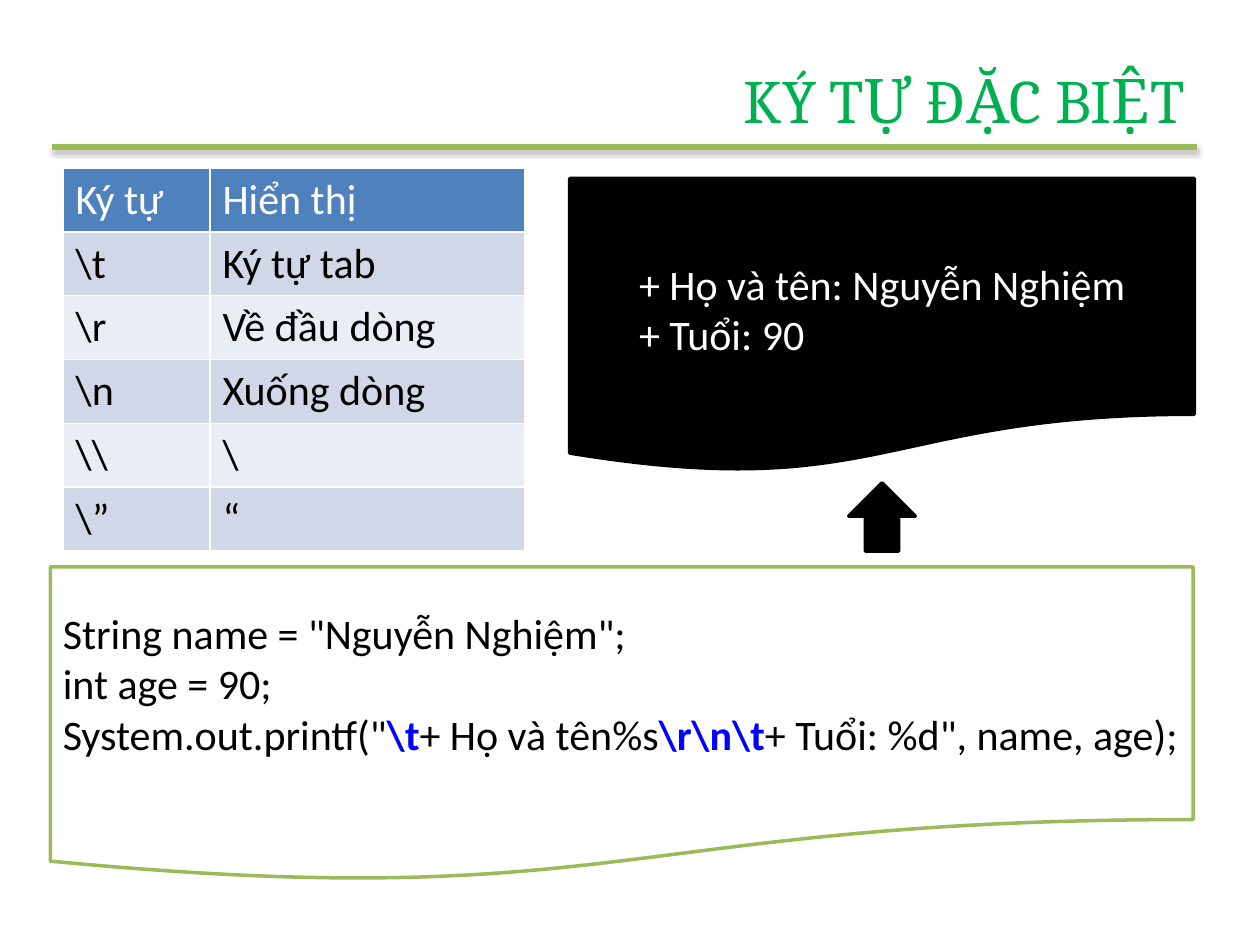
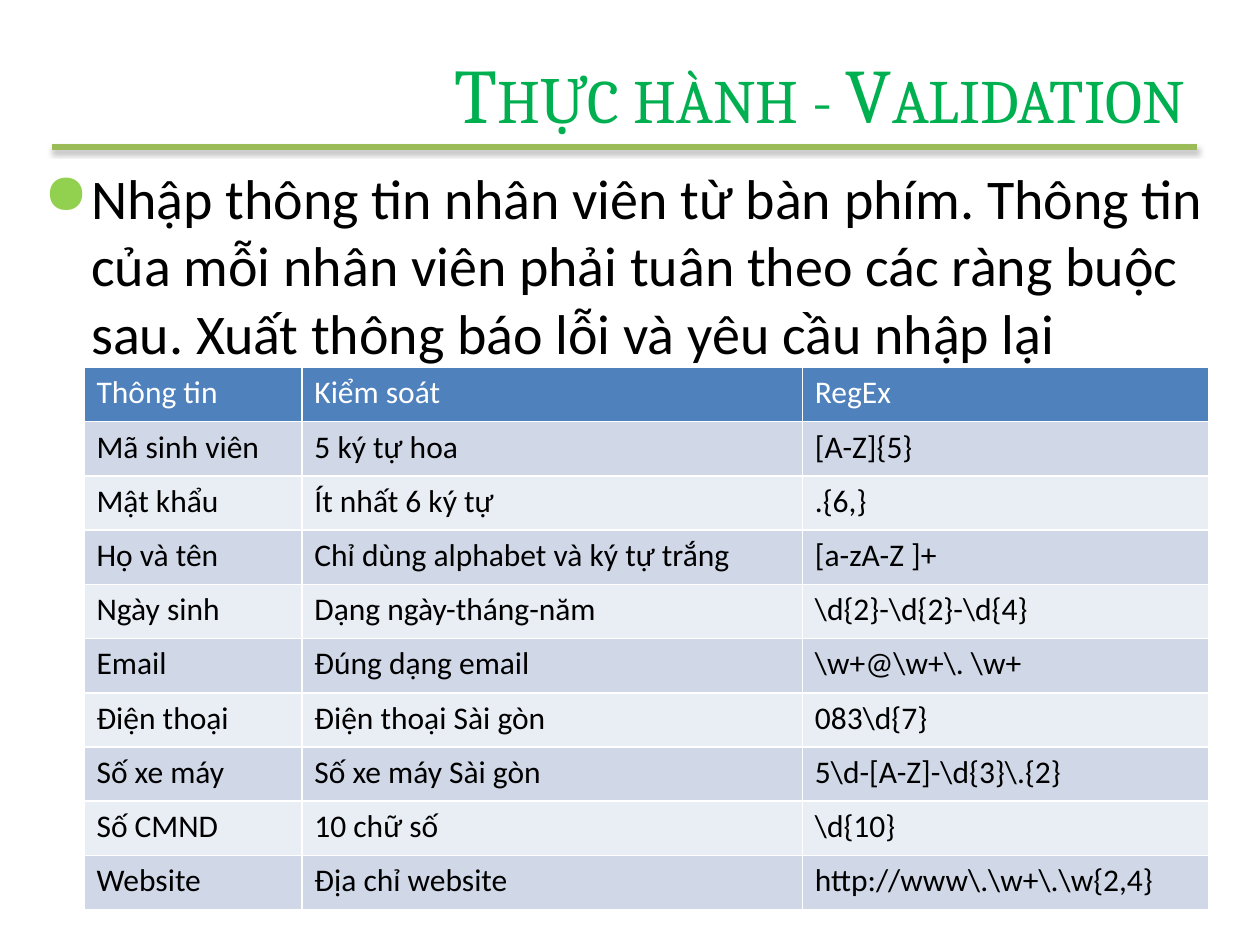
from dataclasses import dataclass

from lxml.etree import SubElement
from pptx import Presentation
from pptx.dml.color import RGBColor
from pptx.enum.shapes import MSO_CONNECTOR, MSO_SHAPE
from pptx.enum.text import MSO_ANCHOR, MSO_AUTO_SIZE, PP_ALIGN
from pptx.oxml import parse_xml
from pptx.oxml.ns import nsdecls, qn
from pptx.util import Pt


@dataclass(frozen=True)
class Theme:
    title: str = "00B050"
    rule: str = "9BBB59"
    bullet: str = "92D050"
    text: str = "000000"
    light: str = "FFFFFF"
    keyword: str = "0000FF"
    header: str = "4F81BD"
    bands: tuple = ("D0D8E8", "E9EDF4")
    title_font: str = "Cambria"
    body_font: str = "Calibri"
    title_size: int = 44
    body_size: int = 32
    code_size: int = 24
    table_size: int = 18


T = Theme()

ESCAPES = [
    ("Ký tự", "Hiển thị"),
    (r"\t", "Ký tự tab"),
    (r"\r", "Về đầu dòng"),
    (r"\n", "Xuống dòng"),
    (r"\\", "\\"),
    (r"\”", "“"),
]

CODE = [
    [('String name = "Nguyễn Nghiệm";', False)],
    [("int age = 90;", False)],
    [
        ('System.out.printf("', False),
        (r"\t", True),
        ("+ Họ và tên%s", False),
        (r"\r\n\t", True),
        ('+ Tuổi: %d", name, age);', False),
    ],
]

RULES = [
    ("Thông tin", "Kiểm soát", "RegEx"),
    ("Mã sinh viên", "5 ký tự hoa", "[A-Z]{5}"),
    ("Mật khẩu", "Ít nhất 6 ký tự", ".{6,}"),
    ("Họ và tên", "Chỉ dùng alphabet và ký tự trắng", "[a-zA-Z ]+"),
    ("Ngày sinh", "Dạng ngày-tháng-năm", r"\d{2}-\d{2}-\d{4}"),
    ("Email", "Đúng dạng email", r"\w+@\w+\. \w+"),
    ("Điện thoại", "Điện thoại Sài gòn", r"083\d{7}"),
    ("Số xe máy", "Số xe máy Sài gòn", r"5\d-[A-Z]-\d{3}\.{2}"),
    ("Số CMND", "10 chữ số", r"\d{10}"),
    ("Website", "Địa chỉ website", r"http://www\.\w+\.\w{2,4}"),
]

TASK = (
    "Nhập thông tin nhân viên từ bàn phím. Thông tin của mỗi nhân viên "
    "phải tuân theo các ràng buộc sau. Xuất thông báo lỗi và yêu cầu nhập lại"
)


def rgb(color):
    return RGBColor.from_string(color)


def style_run(r, size, color=T.text, font=T.body_font, bold=False):
    r.font.size = Pt(size)
    r.font.name = font
    r.font.bold = bold
    r.font.color.rgb = rgb(color)


def style_text(tf, size, color=T.text, font=T.body_font):
    for p in tf.paragraphs:
        for r in p.runs:
            style_run(r, size, color, font)


def add_text(s, box, text, size, color=T.text, font=T.body_font):
    sp = s.shapes.add_textbox(*map(Pt, box))
    tf = sp.text_frame
    tf.word_wrap = True
    tf.text = text
    style_text(tf, size, color, font)
    return sp


def add_title(s, text):
    tf = add_text(s, (104.4, 21.6, 579.6, 62.64), text, T.title_size, T.title, T.title_font).text_frame
    tf.vertical_anchor = MSO_ANCHOR.MIDDLE
    p = tf.paragraphs[0]
    p.alignment = PP_ALIGN.RIGHT
    p.runs[0].font._element.set("cap", "small")


def add_rule(s):
    line = s.shapes.add_connector(MSO_CONNECTOR.STRAIGHT, Pt(30), Pt(84), Pt(684), Pt(84))
    line.line.color.rgb = rgb(T.rule)
    line.line.width = Pt(3)
    line._element.spPr.append(parse_xml(
        f'<a:effectLst {nsdecls("a")}>'
        f'<a:outerShdw blurRad="{Pt(3.1)}" dist="{Pt(1.8)}" dir="5400000" rotWithShape="0">'
        '<a:srgbClr val="000000"><a:alpha val="35000"/></a:srgbClr>'
        '</a:outerShdw></a:effectLst>'
    ))


def add_slide(prs, title):
    s = prs.slides.add_slide(prs.slide_layouts[6])
    add_rule(s)
    add_title(s, title)
    return s


def add_panel(s, kind, box, fill, line):
    sp = s.shapes.add_shape(kind, *map(Pt, box))
    sp.shadow.inherit = False
    sp.fill.solid()
    sp.fill.fore_color.rgb = rgb(fill)
    sp.line.color.rgb = rgb(line)
    sp.line.width = Pt(2)


def add_console(s, box, text):
    sp = add_text(s, box, text, T.code_size, T.light)
    sp.line.color.rgb = rgb(T.text)
    sp.line.width = Pt(0.25)
    for p in sp.text_frame.paragraphs:
        p._p.get_or_add_pPr().set("marL", str(Pt(32.6)))


def add_code(s, box, lines):
    tf = s.shapes.add_textbox(*map(Pt, box)).text_frame
    tf.word_wrap = False
    tf.auto_size = MSO_AUTO_SIZE.SHAPE_TO_FIT_TEXT
    for i, parts in enumerate(lines):
        p = tf.add_paragraph() if i else tf.paragraphs[0]
        for text, escape in parts:
            r = p.add_run()
            r.text = text
            style_run(r, T.code_size, T.keyword if escape else T.text, bold=escape)


def add_bullet(s, box, text):
    p = add_text(s, box, text, T.body_size).text_frame.paragraphs[0]
    p.space_before = Pt(0.2 * T.body_size)
    pPr = p._p.get_or_add_pPr()
    pPr.set("marL", str(Pt(27)))
    pPr.set("indent", str(Pt(-27)))
    SubElement(SubElement(pPr, qn("a:buClr")), qn("a:srgbClr")).set("val", T.bullet)
    SubElement(pPr, qn("a:buChar")).set("char", "●")


def set_borders(cell):
    tcPr = cell._tc.get_or_add_tcPr()
    for i, side in enumerate(("lnL", "lnR", "lnT", "lnB")):
        tcPr.insert(i, parse_xml(
            f'<a:{side} {nsdecls("a")} w="{Pt(1)}"><a:solidFill>'
            f'<a:srgbClr val="{T.light}"/></a:solidFill></a:{side}>'
        ))


def add_table(s, left, top, widths, row_height, rows, size):
    height = row_height * len(rows)
    box = map(Pt, (left, top, sum(widths), height))
    table = s.shapes.add_table(len(rows), len(widths), *box).table
    for column, width in zip(table.columns, widths):
        column.width = Pt(width)
    for i, row in enumerate(rows):
        table.rows[i].height = Pt(row_height)
        for j, text in enumerate(row):
            cell = table.cell(i, j)
            cell.text = text
            style_text(cell.text_frame, size, T.text if i else T.light)
            cell.fill.solid()
            cell.fill.fore_color.rgb = rgb(T.bands[(i - 1) % 2] if i else T.header)
            set_borders(cell)


def build_escapes(prs):
    s = add_slide(prs, "ký tự đặc biệt")
    add_panel(s, MSO_SHAPE.FLOWCHART_DOCUMENT, (325.5, 102, 357, 168), T.text, T.text)
    add_panel(s, MSO_SHAPE.FLOWCHART_DOCUMENT, (28.8, 324, 653, 180), T.light, T.rule)
    add_table(s, 36, 96, (84, 180), 36.5, ESCAPES, T.code_size)
    add_console(s, (325.5, 144, 357, 65.5), "+ Họ và tên: Nguyễn Nghiệm\n+ Tuổi: 90")
    add_code(s, (28.8, 343.5, 653, 94.5), CODE)
    add_panel(s, MSO_SHAPE.UP_ARROW, (485, 276, 38, 39), T.text, T.text)


def build_validation(prs):
    s = add_slide(prs, "Thực hành - Validation")
    add_bullet(s, (18, 90, 684, 132), TASK)
    add_table(s, 48, 210, (124.5, 286, 232), 31, RULES, T.table_size)


def main():
    prs = Presentation()
    prs.slide_width, prs.slide_height = Pt(720), Pt(540)
    build_escapes(prs)
    build_validation(prs)
    prs.save("out.pptx")


main()
